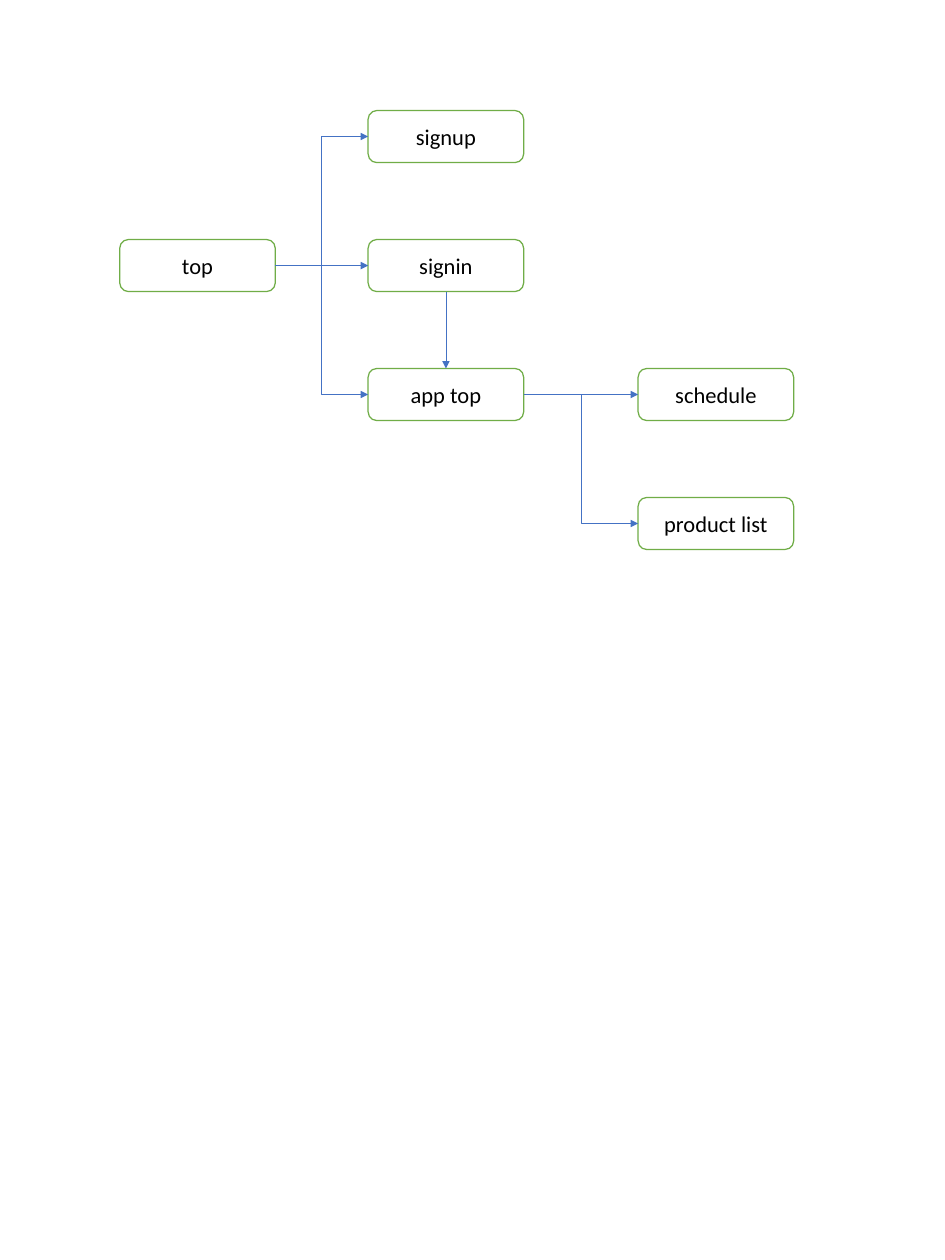
"""Draw a screen flow from the top page to the app pages."""
from lxml.etree import SubElement
from pptx import Presentation
from pptx.dml.color import RGBColor
from pptx.enum.shapes import MSO_CONNECTOR, MSO_SHAPE
from pptx.enum.text import MSO_ANCHOR, PP_ALIGN
from pptx.oxml.ns import qn
from pptx.util import Cm, Pt

WHITE = RGBColor(0xFF, 0xFF, 0xFF)
BLACK = RGBColor(0x00, 0x00, 0x00)
GREEN = RGBColor(0x70, 0xAD, 0x47)
BLUE = RGBColor(0x44, 0x72, 0xC4)

COLUMNS = (3.38, 10.39, 18.01)
FIRST_ROW, ROW_STEP = 3.12, 3.64
PAGE_WIDTH, PAGE_HEIGHT = 4.39, 1.47
TOP, LEFT, BOTTOM, RIGHT = range(4)

PAGES = {
    "top": (0, 1),
    "signin": (1, 1),
    "signup": (1, 0),
    "app top": (1, 2),
    "schedule": (2, 2),
    "product list": (2, 3),
}
LINKS = (
    ("top", "signin", RIGHT, LEFT),
    ("top", "signup", RIGHT, LEFT),
    ("top", "app top", RIGHT, LEFT),
    ("app top", "schedule", RIGHT, LEFT),
    ("app top", "product list", RIGHT, LEFT),
    ("signin", "app top", BOTTOM, TOP),
)


class FlowChart:
    """Style and current slide of the flow chart."""

    font = "Calibri"
    font_size = Pt(18)
    border_width = Pt(1)
    arrow_width = Pt(0.5)

    def __init__(self, slide):
        self.slide = slide

    def page(self, label, column, row):
        """Add a rounded page box at a grid position."""
        page = self.slide.shapes.add_shape(
            MSO_SHAPE.ROUNDED_RECTANGLE,
            Cm(COLUMNS[column]), Cm(FIRST_ROW + row * ROW_STEP),
            Cm(PAGE_WIDTH), Cm(PAGE_HEIGHT),
        )
        page.shadow.inherit = False
        page.fill.solid()
        page.fill.fore_color.rgb = WHITE
        page.line.color.rgb = GREEN
        page.line.width = self.border_width
        frame = page.text_frame
        frame.text = label
        frame.word_wrap = True
        frame.vertical_anchor = MSO_ANCHOR.MIDDLE
        paragraph = frame.paragraphs[0]
        paragraph.alignment = PP_ALIGN.CENTER
        font = paragraph.runs[0].font
        font.name = self.font
        font.size = self.font_size
        font.color.rgb = BLACK
        return page

    def arrow(self, source, target, exit_side, entry_side):
        """Join two pages, with an elbow where they do not line up."""
        aligned = source.top == target.top or source.left == target.left
        kind = MSO_CONNECTOR.STRAIGHT if aligned else MSO_CONNECTOR.ELBOW
        arrow = self.slide.shapes.add_connector(kind, 0, 0, 0, 0)
        arrow.begin_connect(source, exit_side)
        arrow.end_connect(target, entry_side)
        arrow.line.color.rgb = BLUE
        arrow.line.width = self.arrow_width
        SubElement(arrow.line._get_or_add_ln(), qn("a:tailEnd"), type="triangle")
        SubElement(arrow._element.spPr, qn("a:effectLst"))


def main():
    """Build and save the slide."""
    presentation = Presentation()
    presentation.slide_width = Cm(26.67)
    presentation.slide_height = Cm(35.56)
    chart = FlowChart(presentation.slides.add_slide(presentation.slide_layouts[6]))
    pages = {label: chart.page(label, *cell) for label, cell in PAGES.items()}
    for source, target, exit_side, entry_side in LINKS:
        chart.arrow(pages[source], pages[target], exit_side, entry_side)
    presentation.save("out.pptx")


if __name__ == "__main__":
    main()
